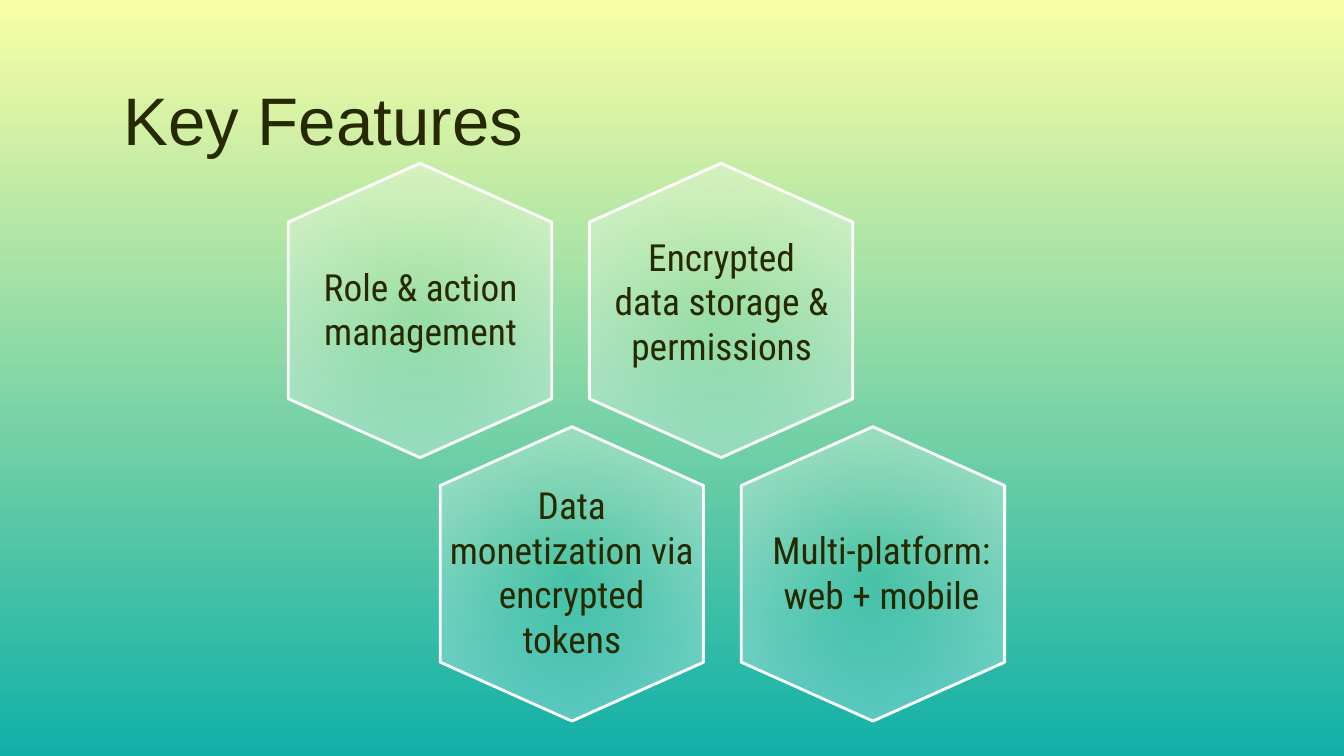
"""Build the Key Features slide: four honeycomb cells on a gradient background."""

from dataclasses import dataclass

import pptx
import pptx.dml.color
import pptx.enum.shapes
import pptx.enum.text
import pptx.oxml
import pptx.oxml.ns
import pptx.util
from pptx.shapes.autoshape import Shape
from pptx.slide import Slide

WIDTH = 10
HEIGHT = WIDTH * 9 / 16
COLORS = {"sky": "F9FEA5", "sea": "11B0A7", "cell": "FFFFFF", "text": "272900"}
CELL_WIDTH, CELL_HEIGHT = 2.19, 1.96
GRID_LEFT, GRID_TOP = 2.03, 1.33
COLUMN_STEP, ROW_STEP, ROW_SHIFT = 2.24, 1.96, 1.13
LABEL_HEIGHT = 0.63
EDGE_OPACITY = 39


@dataclass(frozen=True)
class Feature:
    """A honeycomb cell and the offset and width of its label."""

    text: str
    column: int
    row: int
    label_x: float
    label_y: float
    label_width: float


FEATURES = [
    Feature("Role & action management", 0, 0, 0.24, 0.77, 1.72),
    Feature("Encrypted data storage & permissions", 1, 0, 0.18, 0.88, 1.84),
    Feature("Data monetization via encrypted tokens", 0, 1, 0.06, 1.1, 2.07),
    Feature("Multi-platform: web + mobile", 1, 1, 0.24, 0.77, 1.84),
]


def color(name: str) -> pptx.dml.color.RGBColor:
    """Return a named palette colour."""
    return pptx.dml.color.RGBColor.from_string(COLORS[name])


def place(shape: Shape, left: float, top: float, width: float, height: float) -> None:
    """Move and size a shape in inches."""
    shape.left, shape.top = pptx.util.Inches(left), pptx.util.Inches(top)
    shape.width, shape.height = pptx.util.Inches(width), pptx.util.Inches(height)


def write(shape: Shape, text: str, *, font: str, size: float, align: str) -> None:
    """Write formatted text that rests on the bottom of its shape."""
    frame = shape.text_frame
    frame.word_wrap = True
    frame.auto_size = pptx.enum.text.MSO_AUTO_SIZE.NONE
    frame.vertical_anchor = pptx.enum.text.MSO_ANCHOR.BOTTOM
    frame.margin_left = frame.margin_right = pptx.util.Inches(0.1)
    frame.margin_top = frame.margin_bottom = pptx.util.Inches(0.1)
    paragraph = frame.paragraphs[0]
    paragraph.alignment = pptx.enum.text.PP_ALIGN[align]
    run = paragraph.add_run()
    run.text = text
    run.font.name = font
    run.font.size = pptx.util.Pt(size)
    run.font.color.rgb = color("text")


def paint_background(slide: Slide) -> None:
    """Fill the slide with a gradient running from top to bottom."""
    fill = slide.background.fill
    fill.gradient()
    fill.gradient_angle = 270
    for stop, name in zip(fill.gradient_stops, ("sky", "sea")):
        stop.color.rgb = color(name)


def glow(shape: Shape) -> None:
    """Fill a shape with a radial gradient that is clear in the centre."""
    stops = "".join(
        f'<a:gs pos="{position * 1000}"><a:srgbClr val="{COLORS["cell"]}">'
        f'<a:alpha val="{opacity * 1000}"/></a:srgbClr></a:gs>'
        for position, opacity in ((0, 0), (100, EDGE_OPACITY))
    )
    gradient = pptx.oxml.parse_xml(
        f'<a:gradFill {pptx.oxml.ns.nsdecls("a")}><a:gsLst>{stops}</a:gsLst>'
        '<a:path path="circle"><a:fillToRect l="50000" t="50000" r="50000" b="50000"/>'
        "</a:path></a:gradFill>"
    )
    shape.fill.solid()
    properties = shape._element.spPr
    properties.replace(properties.find(pptx.oxml.ns.qn("a:solidFill")), gradient)


def draw_feature(slide: Slide, feature: Feature) -> None:
    """Draw one upright hexagon with its label."""
    left = GRID_LEFT + feature.column * COLUMN_STEP + feature.row * ROW_SHIFT
    top = GRID_TOP + feature.row * ROW_STEP
    cell = slide.shapes.add_shape(
        pptx.enum.shapes.MSO_SHAPE.FLOWCHART_PREPARATION, 0, 0, 0, 0
    )
    place(cell, left, top, CELL_WIDTH, CELL_HEIGHT)
    cell.rotation = 90
    cell.shadow.inherit = False
    glow(cell)
    cell.line.color.rgb = color("cell")
    cell.line.width = pptx.util.Pt(1.5)
    label = slide.shapes.add_textbox(0, 0, 0, 0)
    place(label, left + feature.label_x, top + feature.label_y,
          feature.label_width, LABEL_HEIGHT)
    write(label, feature.text, font="Roboto Condensed", size=20, align="CENTER")


def main() -> None:
    """Build and save the presentation."""
    presentation = pptx.Presentation()
    presentation.slide_width = pptx.util.Inches(WIDTH)
    presentation.slide_height = pptx.util.Inches(HEIGHT)
    slide = presentation.slides.add_slide(presentation.slide_layouts[5])
    paint_background(slide)
    title = slide.shapes.title
    place(title, 0.82, 0.55, 3.25, 0.73)
    write(title, "Key Features", font="Arial", size=36, align="LEFT")
    for feature in FEATURES:
        draw_feature(slide, feature)
    presentation.save("out.pptx")


if __name__ == "__main__":
    main()
